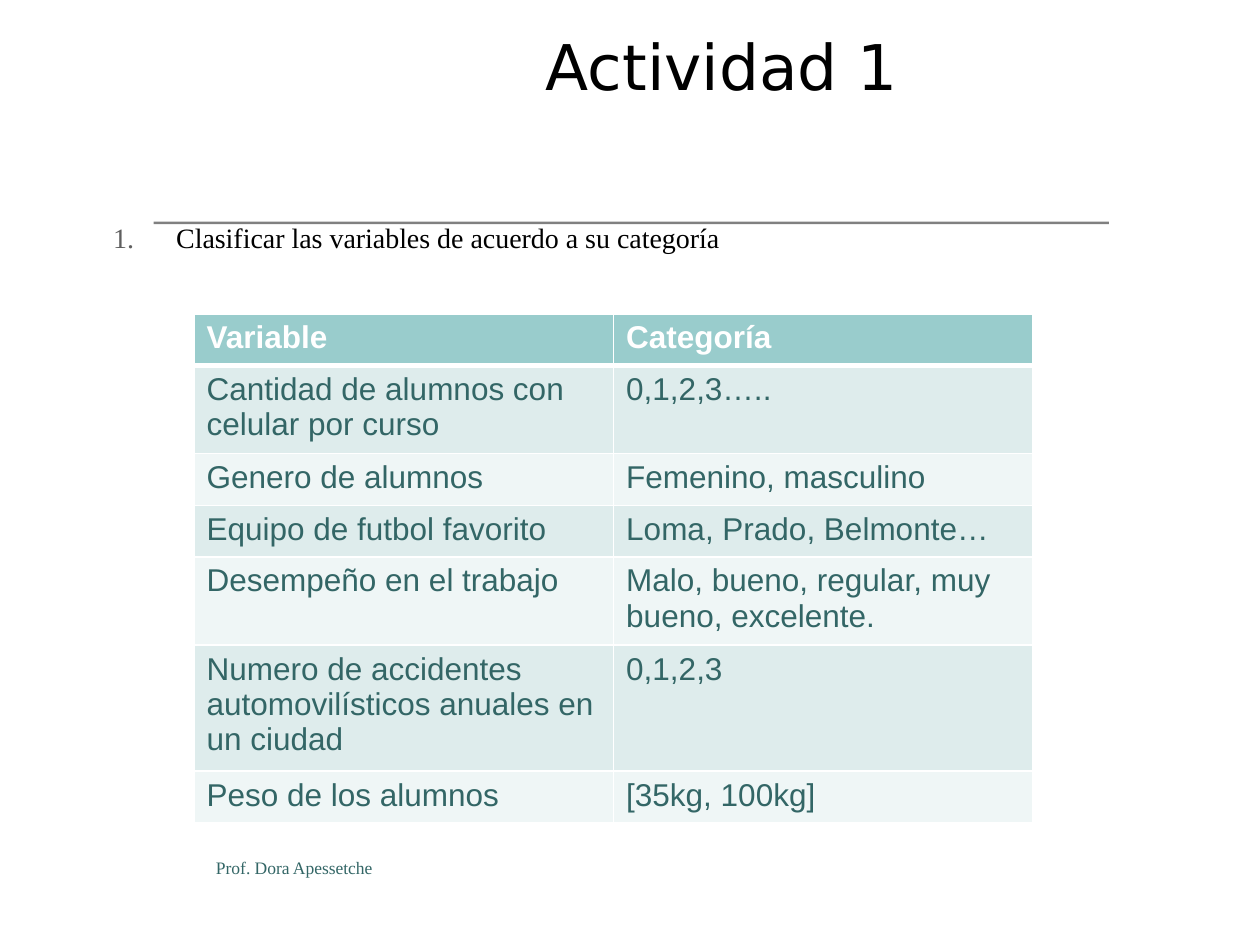
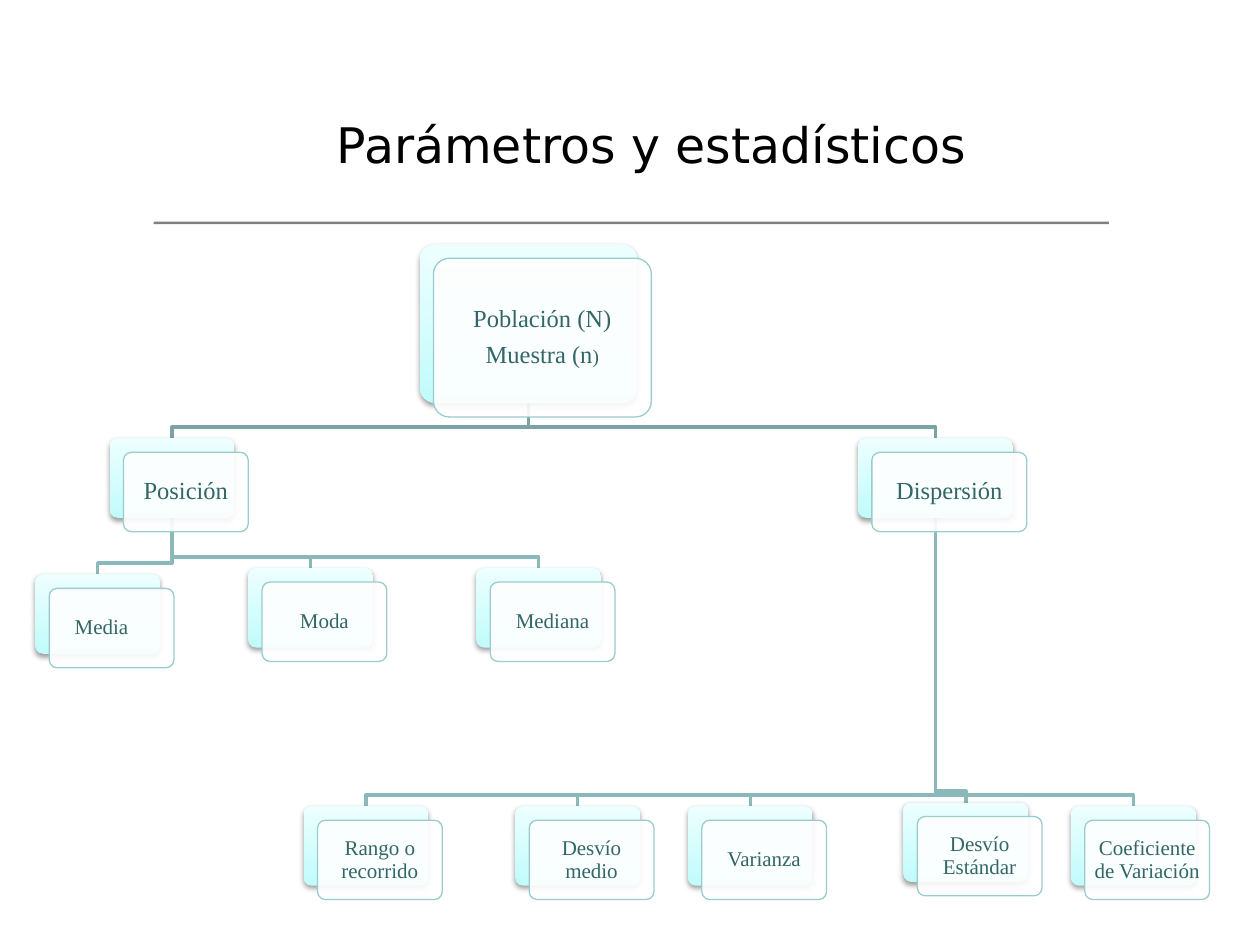
from lxml.etree import SubElement
from pptx import Presentation
from pptx.dml.color import RGBColor as RGB
from pptx.enum.shapes import MSO_SHAPE as SHAPE
from pptx.enum.text import MSO_ANCHOR as ANCHOR, PP_ALIGN as ALIGN
from pptx.oxml.ns import qn
from pptx.util import Inches, Pt

BLACK = RGB(0x00, 0x00, 0x00)
WHITE = RGB(0xFF, 0xFF, 0xFF)
GRAY = RGB(0x80, 0x80, 0x80)
TEAL = RGB(0x33, 0x66, 0x66)
AQUA = RGB(0x99, 0xCC, 0xCC)
ROW_A = RGB(0xDE, 0xEC, 0xEC)
ROW_B = RGB(0xEF, 0xF6, 0xF6)
GLOW_LOW = RGB(0xC1, 0xFB, 0xFB)
GLOW_TOP = RGB(0xED, 0xFF, 0xFF)
LINK_TOP = RGB(0x7B, 0xA3, 0xA3)
LINK_LOW = RGB(0x8B, 0xB9, 0xB9)
SERIF = "Times New Roman"
SANS = "DejaVu Sans"


def write(par, text, size, color, face=SERIF, align=None):
    par.text = text
    par.alignment = align
    par.font.size = Pt(size)
    par.font.name = face
    par.font.color.rgb = color


def add_xml(parent, tag, **attrs):
    return SubElement(parent, qn(tag), {key: str(val) for key, val in attrs.items()})


deck = Presentation()
deck.slide_width, deck.slide_height = Inches(10), Inches(7.5)

# Shared title and rule
heads = [("Actividad 1", 2.17, -0.11, 36), ("Parámetros y estadísticos", 1.61, 0.52, 28)]
for text, x, y, size in heads:
    slide = deck.slides.add_slide(deck.slide_layouts[5])
    title = slide.shapes.title
    title.left, title.top = Inches(x), Inches(y)
    title.width, title.height = Inches(7.12), Inches(1.25)
    title.text_frame.vertical_anchor = ANCHOR.MIDDLE
    write(title.text_frame.paragraphs[0], text, size, BLACK, SANS, ALIGN.CENTER)
    rule = slide.shapes.add_shape(SHAPE.RECTANGLE, Inches(1.22), Inches(1.76),
                                  Inches(7.58), Inches(0.02))
    rule.shadow.inherit = False
    rule.fill.solid()
    rule.fill.fore_color.rgb = GRAY
    rule.line.fill.background()
task, tree = deck.slides

# Slide 1: footer and numbered task
foot = task.shapes.add_textbox(Inches(0.5), Inches(6.75), Inches(3.67), Inches(0.4))
foot.text_frame.word_wrap = True
write(foot.text_frame.paragraphs[0], "Prof. Dora Apessetche", 10, TEAL, align=ALIGN.CENTER)

body = task.shapes.add_textbox(Inches(0.75), Inches(1.7), Inches(7.69), Inches(0.75))
body.text_frame.word_wrap = True
par = body.text_frame.paragraphs[0]
write(par, "Clasificar las variables de acuerdo a su categoría", 16, BLACK)
par.space_before = Pt(3)
props = par._p.get_or_add_pPr()
props.set("marL", str(Inches(0.55)))
props.set("indent", str(Inches(-0.5)))
mark = props.find(qn("a:defRPr"))
tint = add_xml(props, "a:buClr")
add_xml(tint, "a:srgbClr", val="5F5F5F")
add_xml(props, "a:buAutoNum", type="arabicPeriod")
props.append(mark)

# Slide 1: table of variables
rows = [
    ("Variable", "Categoría", 0.41),
    ("Cantidad de alumnos con celular por curso", "0,1,2,3…..", 0.65),
    ("Genero de alumnos", "Femenino, masculino", 0.41),
    ("Equipo de futbol favorito", "Loma, Prado, Belmonte…", 0.41),
    ("Desempeño en el trabajo", "Malo, bueno, regular, muy bueno, excelente.", 0.65),
    ("Numero de accidentes automovilísticos anuales en un ciudad", "0,1,2,3", 0.93),
    ("Peso de los alumnos", "[35kg, 100kg]", 0.41),
]
grid = task.shapes.add_table(len(rows), 2, Inches(1.54), Inches(2.49),
                             Inches(6.66), Inches(3.87)).table
for r, (*texts, high) in enumerate(rows):
    grid.rows[r].height = Inches(high)
    for c, text in enumerate(texts):
        cell = grid.cell(r, c)
        par = cell.text_frame.paragraphs[0]
        write(par, text, 18, TEAL if r else WHITE, "Arial")
        par.font.bold = r == 0
        props = cell._tc.get_or_add_tcPr()
        for side in "LRTB":
            thick = (side == "B" and r == 0) or (side == "T" and r == 1)
            edge = add_xml(props, "a:ln" + side, w=Pt(3 if thick else 1))
            add_xml(add_xml(edge, "a:solidFill"), "a:srgbClr", val=WHITE)
        cell.fill.solid()
        cell.fill.fore_color.rgb = (ROW_A if r % 2 else ROW_B) if r else AQUA

# Slide 2: nodes as parent, text, left, top, width, height, text size
root = (None, "Población (N)\nMuestra (n", 3.33, 1.94, 1.73, 1.26, 14)
place = (root, "Posición", 0.87, 3.48, 0.99, 0.63, 14)
spread = (root, "Dispersión", 6.81, 3.48, 1.23, 0.63, 14)
leaves = [
    (place, "Media", 0.28, 4.56),
    (place, "Moda", 1.97, 4.51),
    (place, "Mediana", 3.78, 4.51),
    (spread, "Rango o recorrido", 2.41, 6.4),
    (spread, "Desvío medio", 4.09, 6.4),
    (spread, "Varianza", 5.46, 6.4),
    (spread, "Desvío Estándar", 7.17, 6.37),
    (spread, "Coeficiente de Variación", 8.5, 6.4),
]
nodes = [root, place, spread] + [leaf + (0.99, 0.63, 12) for leaf in leaves]

# Links, low ones behind the top ones
for up, _, x, y, wide, *_ in reversed(nodes[1:]):
    start = up[2] + up[4] / 2
    end = x + wide / 2
    foot_y = up[3] + up[5]
    bend = y - 0.09
    pen = tree.shapes.build_freeform(Inches(start), Inches(foot_y))
    pen.add_line_segments([(Inches(px), Inches(py)) for px, py in
                           ((start, bend), (end, bend), (end, y))], close=False)
    link = pen.convert_to_shape()
    link.shadow.inherit = False
    link.fill.background()
    link.line.color.rgb = LINK_TOP if up is root else LINK_LOW
    link.line.width = Pt(2)

# Cards: glowing back, clear front with the text
for up, text, x, y, wide, high, size in nodes:
    back, front = [tree.shapes.add_shape(SHAPE.ROUNDED_RECTANGLE, Inches(x + gap),
                                         Inches(y + gap), Inches(wide), Inches(high))
                   for gap in (0, 0.11)]
    for card in (back, front):
        card.adjustments[0] = 0.1
        card.shadow.inherit = False
    back.line.fill.background()
    back.fill.gradient()
    back.fill.gradient_angle = 90
    for stop, color in zip(back.fill.gradient_stops, (GLOW_LOW, GLOW_TOP)):
        stop.color.rgb = color
    glow = add_xml(back.element.spPr.find(qn("a:effectLst")), "a:outerShdw",
                   blurRad=40000, dist=20000, dir=5400000, rotWithShape=0)
    add_xml(add_xml(glow, "a:srgbClr", val=BLACK), "a:alpha", val=38000)

    front.fill.solid()
    front.fill.fore_color.rgb = WHITE
    add_xml(front.element.spPr.find(qn("a:solidFill"))[0], "a:alpha", val=90000)
    front.line.color.rgb = AQUA
    front.line.width = Pt(0.75)
    frame = front.text_frame
    frame.word_wrap = True
    frame.vertical_anchor = ANCHOR.MIDDLE
    pad = Inches(0.06 if size == 14 else 0.05)
    frame.margin_left = frame.margin_right = frame.margin_top = frame.margin_bottom = pad
    if text == "Media":
        frame.margin_right = Inches(0.21)
    for i, line in enumerate(text.split("\n")):
        par = frame.add_paragraph() if i else frame.paragraphs[0]
        write(par, line, size, TEAL, align=ALIGN.CENTER)
        par.line_spacing = 0.9
        par.space_after = Pt(0.35 * size)
    if up is None:
        tail = par.add_run()
        tail.text = ")"
        tail.font.size = Pt(11)

deck.save("out.pptx")
